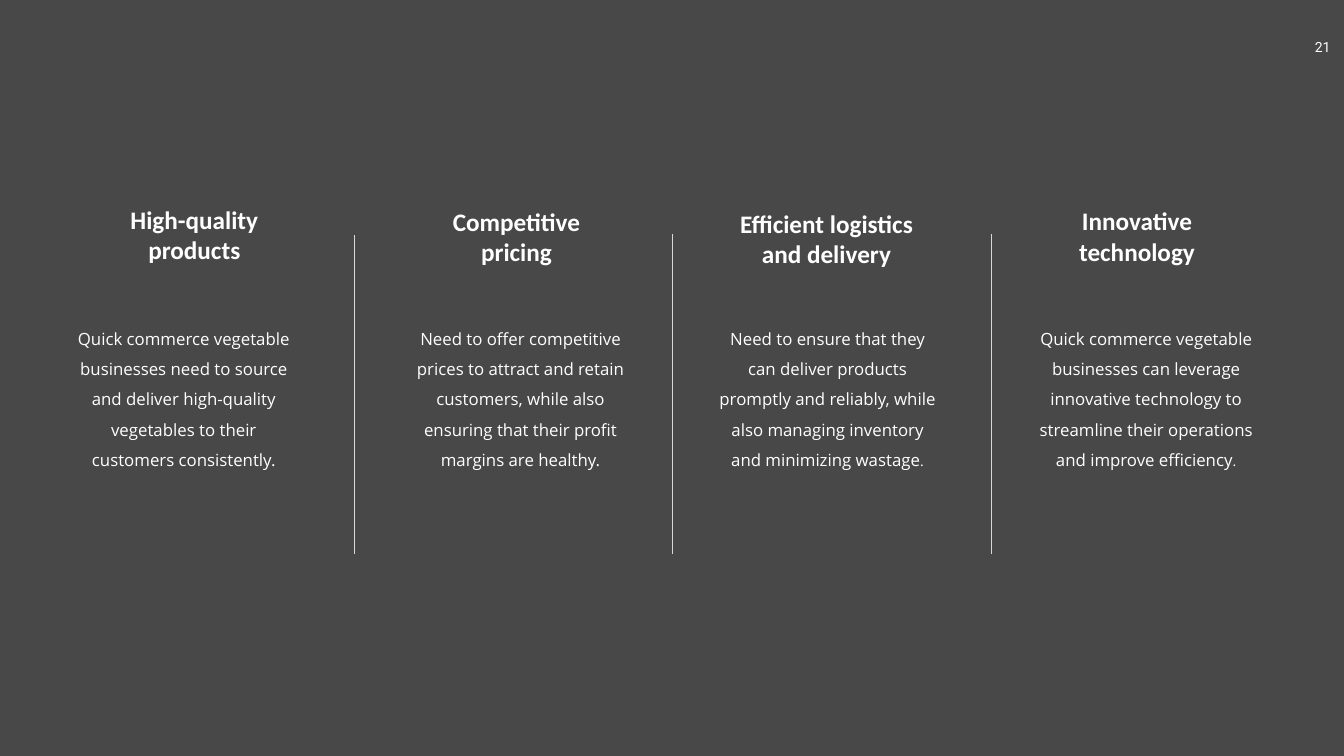
"""Build a slide with four business requirements in ruled columns."""
from dataclasses import dataclass

from lxml import etree
from pptx import Presentation
from pptx import util as u
from pptx.dml.color import RGBColor
from pptx.enum import shapes, text
from pptx.oxml.ns import qn

PX = 9144
SLIDE_SIZE = (2666, 1500)
PAGE_NUMBER = "21"
REQUIREMENTS = [
    dict(heading="High-quality products", heading_box=(181, 400, 409), body_left=120,
         body="Quick commerce vegetable businesses need to source and deliver "
              "high-quality vegetables to their customers consistently.", small_stop=False),
    dict(heading="Competitive pricing", heading_box=(820, 404, 409), body_left=788,
         body="Need to offer competitive prices to attract and retain customers, "
              "while also ensuring that their profit margins are healthy.", small_stop=False),
    dict(heading="Efficient logistics and delivery", heading_box=(1426, 408, 427), body_left=1397,
         body="Need to ensure that they can deliver products promptly and reliably, "
              "while also managing inventory and minimizing wastage.", small_stop=True),
    dict(heading="Innovative technology", heading_box=(2051, 403, 409), body_left=2029,
         body="Quick commerce vegetable businesses can leverage innovative technology "
              "to streamline their operations and improve efficiency.", small_stop=True),
]
DIVIDERS = [(703, 466), (1333, 465), (1966, 465)]
DIVIDER_BOTTOM = 1099
HEADING_HEIGHT = 131
BODY_TOP, BODY_WIDTH, BODY_HEIGHT = 621, 489, 319


@dataclass(frozen=True)
class Theme:
    background: str = "484848"
    ink: str = "FFFFFF"
    rule: str = "D9D9D9"
    heading_font: str = "Calibri"
    body_font: str = "Open Sans"
    number_font: str = "Roboto"
    heading_size: int = 36
    body_size: int = 24
    small_size: int = 20
    body_leading: int = 43
    rule_width: float = 0.5


THEME = Theme()


def px(length):
    return u.Emu(length * PX)


def add_text(slide, words, *, box, font, size, bold=False, inset=(10, 5),
             align=text.PP_ALIGN.CENTER, leading=None, stop_size=None):
    frame = slide.shapes.add_textbox(*map(px, box)).text_frame
    frame.word_wrap = True
    frame.margin_left = frame.margin_right = px(inset[0])
    frame.margin_top = frame.margin_bottom = px(inset[1])
    paragraph = frame.paragraphs[0]
    paragraph.alignment = align
    if leading:
        paragraph.line_spacing = u.Pt(leading)
    pieces = [(words[:-1], size), (words[-1], stop_size)] if stop_size else [(words, size)]
    for piece, points in pieces:
        run = paragraph.add_run()
        run.text = piece
        run.font.name = font
        run.font.size = u.Pt(points)
        run.font.bold = bold
        run.font.color.rgb = RGBColor.from_string(THEME.ink)


def add_divider(slide, x, top):
    divider = slide.shapes.add_connector(
        shapes.MSO_CONNECTOR.STRAIGHT, px(x), px(top), px(x), px(DIVIDER_BOTTOM))
    divider.line.color.rgb = RGBColor.from_string(THEME.rule)
    divider.line.width = u.Pt(THEME.rule_width)
    etree.SubElement(divider._element.spPr, qn("a:effectLst"))


def main():
    deck = Presentation()
    deck.slide_width, deck.slide_height = map(px, SLIDE_SIZE)
    slide = deck.slides.add_slide(deck.slide_layouts[6])
    slide.background.fill.solid()
    slide.background.fill.fore_color.rgb = RGBColor.from_string(THEME.background)

    add_text(slide, PAGE_NUMBER, box=(2588, 67, 91, 54), inset=(20, 10),
             font=THEME.number_font, size=THEME.small_size, align=text.PP_ALIGN.LEFT)
    for requirement in REQUIREMENTS:
        add_text(slide, requirement["heading"], box=(*requirement["heading_box"], HEADING_HEIGHT),
                 font=THEME.heading_font, size=THEME.heading_size, bold=True)
        add_text(slide, requirement["body"],
                 box=(requirement["body_left"], BODY_TOP, BODY_WIDTH, BODY_HEIGHT),
                 inset=(24, 12), font=THEME.body_font, size=THEME.body_size,
                 leading=THEME.body_leading,
                 stop_size=THEME.small_size if requirement["small_stop"] else None)
    for x, top in DIVIDERS:
        add_divider(slide, x, top)
    deck.save("out.pptx")


if __name__ == "__main__":
    main()
